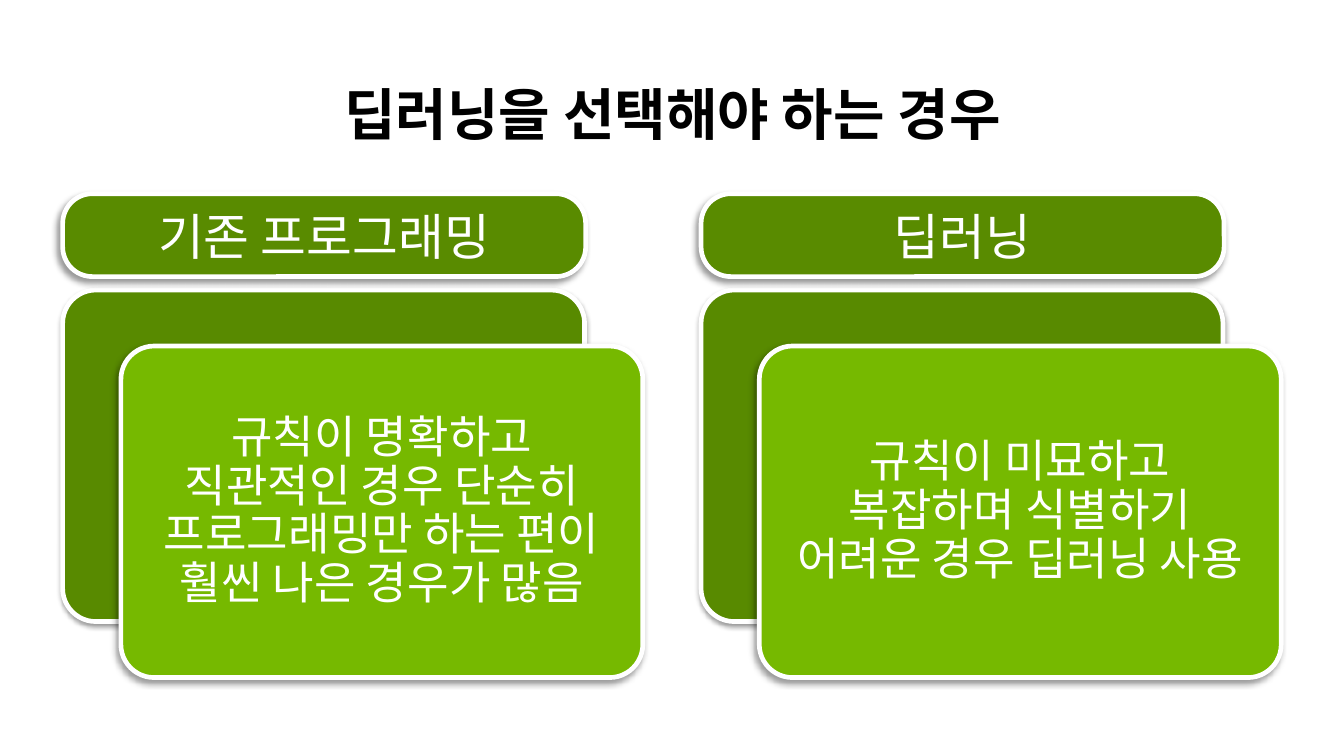
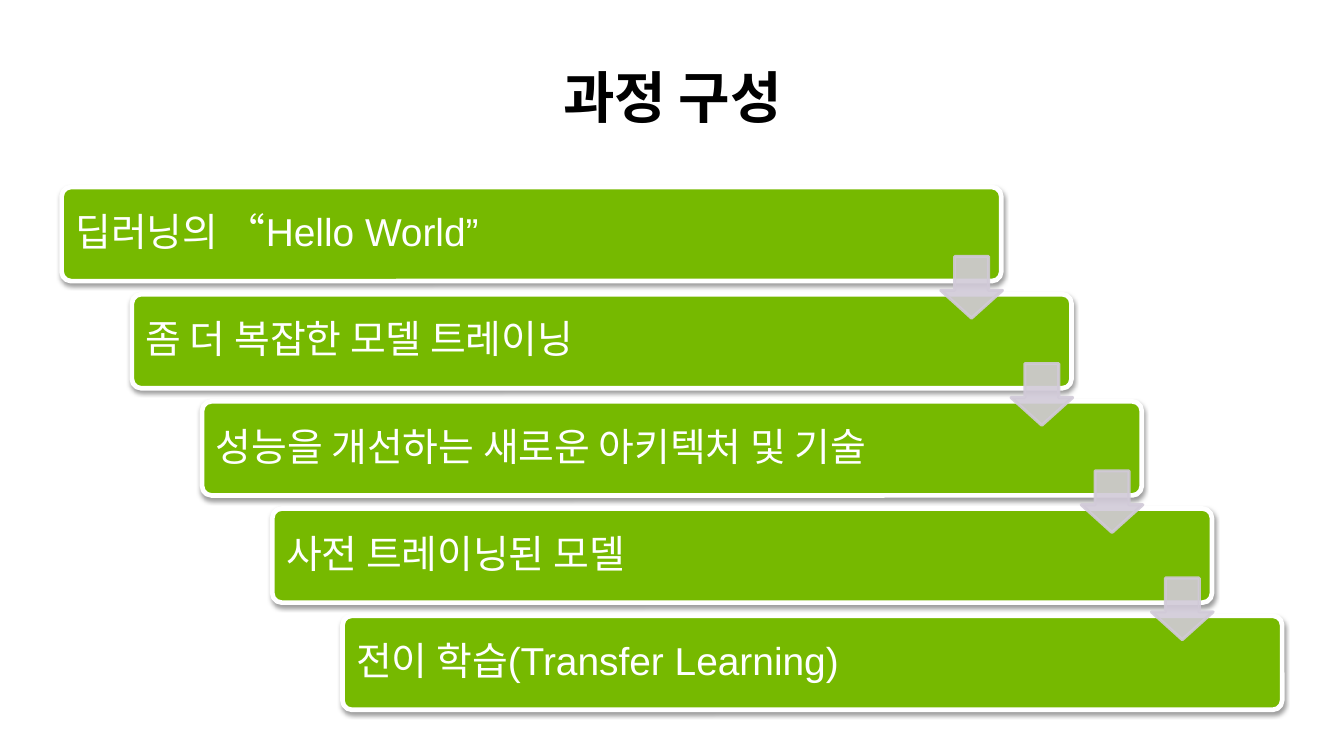
import pptx
import pptx.util
import pptx.dml.color
import pptx.enum.shapes
import pptx.enum.text
import pptx.oxml
import pptx.oxml.ns

Inches, Pt = pptx.util.Inches, pptx.util.Pt
SHAPE = pptx.enum.shapes.MSO_SHAPE
ALIGN = pptx.enum.text.PP_ALIGN
ANCHOR = pptx.enum.text.MSO_ANCHOR

GREEN, DARK, HEADER = "76B900", "588A00", "598B00"
WHITE, BLACK, ARROW = "FFFFFF", "000000", "D1CAD8"

# Shadows: opacity %, blur pt, distance pt, direction in degrees
SOFT = (38, 3.1, 1.6, 90)
DEEP = (40, 4, 3, 135)


def rgb(value):
    return pptx.dml.color.RGBColor.from_string(value)


class Deck:
    title_font, body_font = "Lato", "Arial"

    def __init__(self):
        self.prs = pptx.Presentation()
        self.prs.slide_width = Inches(12)
        self.prs.slide_height = Inches(6.75)

    def slide(self, title, top):
        self.s = self.prs.slides.add_slide(self.prs.slide_layouts[5])
        sp = self.s.shapes.title
        sp.left, sp.top = Inches(0.55), Inches(top)
        sp.width, sp.height = Inches(10.91), Inches(0.65)
        self.text(sp, title, 36, self.title_font, BLACK, bold=True,
                  anchor=ANCHOR.BOTTOM)

    def text(self, sp, text, size, font, color, bold=False, align=ALIGN.CENTER,
             anchor=ANCHOR.MIDDLE, insets=(0.1, 0.05), spacing=0.9):
        tf = sp.text_frame
        tf.word_wrap = True
        tf.auto_size = pptx.enum.text.MSO_AUTO_SIZE.NONE
        tf.vertical_anchor = anchor
        tf.margin_left = tf.margin_right = Inches(insets[0])
        tf.margin_top = tf.margin_bottom = Inches(insets[1])
        p = tf.paragraphs[0]
        p.alignment, p.line_spacing = align, spacing
        r = p.add_run()
        r.text = text
        r.font.name, r.font.size, r.font.bold = font, Pt(size), bold
        r.font.color.rgb = rgb(color)

    def shape(self, kind, at, adjustments, fill, line, line_width):
        sp = self.s.shapes.add_shape(kind, *map(Inches, at))
        for i, value in enumerate(adjustments):
            sp.adjustments[i] = value
        sp.fill.solid()
        sp.fill.fore_color.rgb = rgb(fill)
        sp.line.color.rgb = rgb(line)
        sp.line.width = Pt(line_width)
        sp.shadow.inherit = False
        return sp

    def card(self, at, fill, shadow, text=None, size=None, radius=0.1, **style):
        sp = self.shape(SHAPE.ROUNDED_RECTANGLE, at, [radius], fill, WHITE, 3)
        self.shadow(sp, *shadow)
        if text:
            self.text(sp, text, size, self.body_font, WHITE, **style)

    def shadow(self, sp, opacity, blur, distance, direction):
        effects = sp._element.spPr.find(pptx.oxml.ns.qn("a:effectLst"))
        effects.append(pptx.oxml.parse_xml(
            f'<a:outerShdw {pptx.oxml.ns.nsdecls("a")} blurRad="{Pt(blur)}" '
            f'dist="{Pt(distance)}" dir="{direction * 60000}" rotWithShape="0">'
            f'<a:srgbClr val="{BLACK}"><a:alpha val="{opacity * 1000}"/>'
            f'</a:srgbClr></a:outerShdw>'))

    def down_arrow(self, left, top, size):
        sp = self.shape(SHAPE.DOWN_ARROW, (left, top, size, size),
                        [0.55, 0.45], ARROW, ARROW, 2)
        # Fill and line are both 90% opaque
        for clr in sp._element.spPr.iter(pptx.oxml.ns.qn("a:srgbClr")):
            alpha = pptx.oxml.parse_xml(
                f'<a:alpha {pptx.oxml.ns.nsdecls("a")} val="90000"/>')
            clr.append(alpha)


def choice_slide(deck):
    deck.slide("딥러닝을 선택해야 하는 경우", 0.72)
    columns = [
        ("기존 프로그래밍",
         "규칙이 명확하고 직관적인 경우 단순히 프로그래밍만 하는 편이 훨씬 나은 경우가 많음"),
        ("딥러닝", "규칙이 미묘하고 복잡하며 식별하기 어려운 경우 딥러닝 사용"),
    ]
    for i, (heading, body) in enumerate(columns):
        left = 0.56 + 5.7 * i
        # Back card, front card with the text, heading
        deck.card((left, 2.59, 4.66, 2.96), DARK, SOFT)
        deck.card((left + 0.52, 3.09, 4.66, 2.96), GREEN, DEEP, body, 29,
                  insets=(0.12, 0.12))
        deck.card((left, 1.73, 4.67, 0.74), HEADER, DEEP, heading, 32,
                  radius=0.358, spacing=1.0)


def course_slide(deck):
    deck.slide("과정 구성", 0.57)
    steps = [
        "딥러닝의 “Hello World”",
        "좀 더 복잡한 모델 트레이닝",
        "성능을 개선하는 새로운 아키텍처 및 기술",
        "사전 트레이닝된 모델",
        "전이 학습(Transfer Learning)",
    ]
    dx, dy = 0.627, 0.957
    # Staircase of steps
    for i, step in enumerate(steps):
        deck.card((0.55 + dx * i, 1.67 + dy * i, 8.39, 0.84), GREEN, SOFT,
                  step, 25, align=ALIGN.LEFT, insets=(0.1, 0.1))
    # Arrows from each step to the next
    for i in range(len(steps) - 1):
        deck.down_arrow(8.4 + dx * i, 2.29 + dy * i, 0.55)


def main():
    deck = Deck()
    choice_slide(deck)
    course_slide(deck)
    deck.prs.save("out.pptx")


if __name__ == "__main__":
    main()
